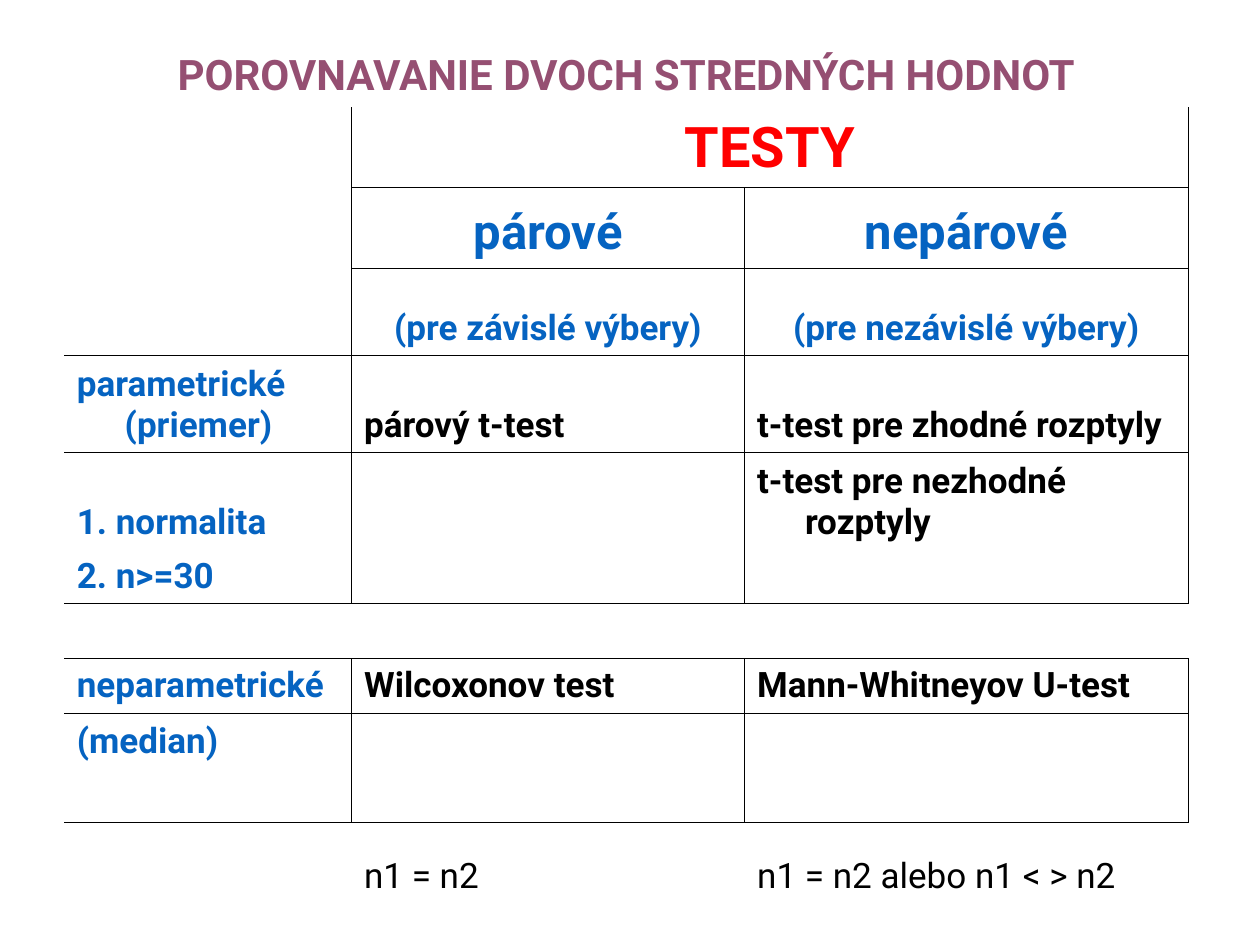
from lxml import etree
from pptx import Presentation
from pptx.dml.color import RGBColor
from pptx.enum import text
from pptx.oxml import ns
from pptx.util import Inches, Pt

FONT = "Roboto"
COLORS = {"title": "954F72", "tests": "FF0000", "label": "0563C1", "black": "000000"}
NO_GRID_STYLE = "{2D5ABB26-0587-4C30-8999-92F81FD0307C}"
COLUMN_WIDTHS = [2.28, 3.12, 3.52]
ROW_HEIGHTS = [0.64, 0.64, 0.64, 0.69, 0.77, 0.77, 0.43, 0.44, 0.43, 0.44, 0.43, 0.64]
TITLE_ROW, TESTS_ROW = 0, 1
BOXED_ROWS = {1, 2, 3, 4, 5, 6, 8, 9, 10}
RULED_BELOW = {1: (1, 2), 3: (0, 1, 2), 6: (0, 1, 2), 7: (0, 1, 2), 10: (0, 1, 2)}
HANGING = 0.38

CENTERED_LABELS = [
    (2, 1, "párové", 28),
    (2, 2, "nepárové", 28),
    (3, 1, "(pre závislé výbery)", 20),
    (3, 2, "(pre nezávislé výbery)", 20),
]
ROW_LABELS = {
    4: "parametrické (priemer)",
    5: "1. normalita",
    6: "2. n>=30",
    8: "neparametrické",
    9: "(median)",
}
TESTS = [
    (4, 1, "párový t-test"),
    (4, 2, "t-test pre zhodné rozptyly"),
    (5, 2, "t-test pre nezhodné rozptyly"),
    (8, 1, "Wilcoxonov test"),
    (8, 2, "Mann-Whitneyov U-test"),
]
SAMPLE_SIZES = [(11, 1, "n1 = n2"), (11, 2, "n1 = n2 alebo n1 < > n2")]


def write(cell, words, size=20, color="black", bold=True, centered=False, hanging=HANGING):
    cell.vertical_anchor = text.MSO_ANCHOR.BOTTOM
    paragraph = cell.text_frame.paragraphs[0]
    paragraph.alignment = text.PP_ALIGN.CENTER if centered else text.PP_ALIGN.LEFT
    if hanging:
        properties = paragraph._p.get_or_add_pPr()
        properties.set("marL", str(Inches(hanging)))
        properties.set("indent", str(-Inches(hanging)))
    run = paragraph.add_run()
    run.text = words
    run.font.name = FONT
    run.font.size = Pt(size)
    run.font.bold = bold
    run.font.color.rgb = RGBColor.from_string(COLORS[color])


def ruled_sides(row, column):
    """Return the ruled sides of a cell, in the order the schema asks for."""
    boxed = row in BOXED_ROWS
    inside_merge = row == TESTS_ROW and column == 2
    sides = {
        "L": boxed and column > 0 and not inside_merge,
        "R": boxed,
        "T": column in RULED_BELOW.get(row - 1, ()),
        "B": column in RULED_BELOW.get(row, ()),
    }
    return [side for side, ruled in sides.items() if ruled]


def rule_cell(cell, sides):
    properties = cell._tc.get_or_add_tcPr()
    for side in sides:
        line = etree.SubElement(properties, ns.qn(f"a:ln{side}"), w=str(Pt(0.45)))
        fill = etree.SubElement(line, ns.qn("a:solidFill"))
        etree.SubElement(fill, ns.qn("a:srgbClr"), val=COLORS["black"])
    cell.fill.background()


def add_grid(slide):
    frame = slide.shapes.add_table(
        len(ROW_HEIGHTS), len(COLUMN_WIDTHS), Inches(0.51), Inches(0.21),
        Inches(sum(COLUMN_WIDTHS)), Inches(sum(ROW_HEIGHTS)))
    table = frame.table
    table.first_row = table.horz_banding = False
    table._tbl.tblPr.find(ns.qn("a:tableStyleId")).text = NO_GRID_STYLE
    for column, width in zip(table.columns, COLUMN_WIDTHS):
        column.width = Inches(width)
    for row, height in zip(table.rows, ROW_HEIGHTS):
        row.height = Inches(height)
    for row in range(len(ROW_HEIGHTS)):
        for column in range(len(COLUMN_WIDTHS)):
            rule_cell(table.cell(row, column), ruled_sides(row, column))
    table.cell(TITLE_ROW, 0).merge(table.cell(TITLE_ROW, 2))
    table.cell(TESTS_ROW, 1).merge(table.cell(TESTS_ROW, 2))
    return table


def main():
    prs = Presentation()
    prs.slide_width, prs.slide_height = Inches(10), Inches(7.5)
    slide = prs.slides.add_slide(prs.slide_layouts[6])
    table = add_grid(slide)

    write(table.cell(TITLE_ROW, 0), "POROVNAVANIE DVOCH STREDNÝCH HODNOT",
          size=24, color="title", centered=True, hanging=0)
    write(table.cell(TESTS_ROW, 1), "TESTY", size=32, color="tests", centered=True)
    for row, column, words, size in CENTERED_LABELS:
        write(table.cell(row, column), words, size=size, color="label", centered=True)
    for row, words in ROW_LABELS.items():
        write(table.cell(row, 0), words, color="label")
    for row, column, words in TESTS:
        write(table.cell(row, column), words)
    for row, column, words in SAMPLE_SIZES:
        write(table.cell(row, column), words, bold=False)
    prs.save("out.pptx")


if __name__ == "__main__":
    main()
